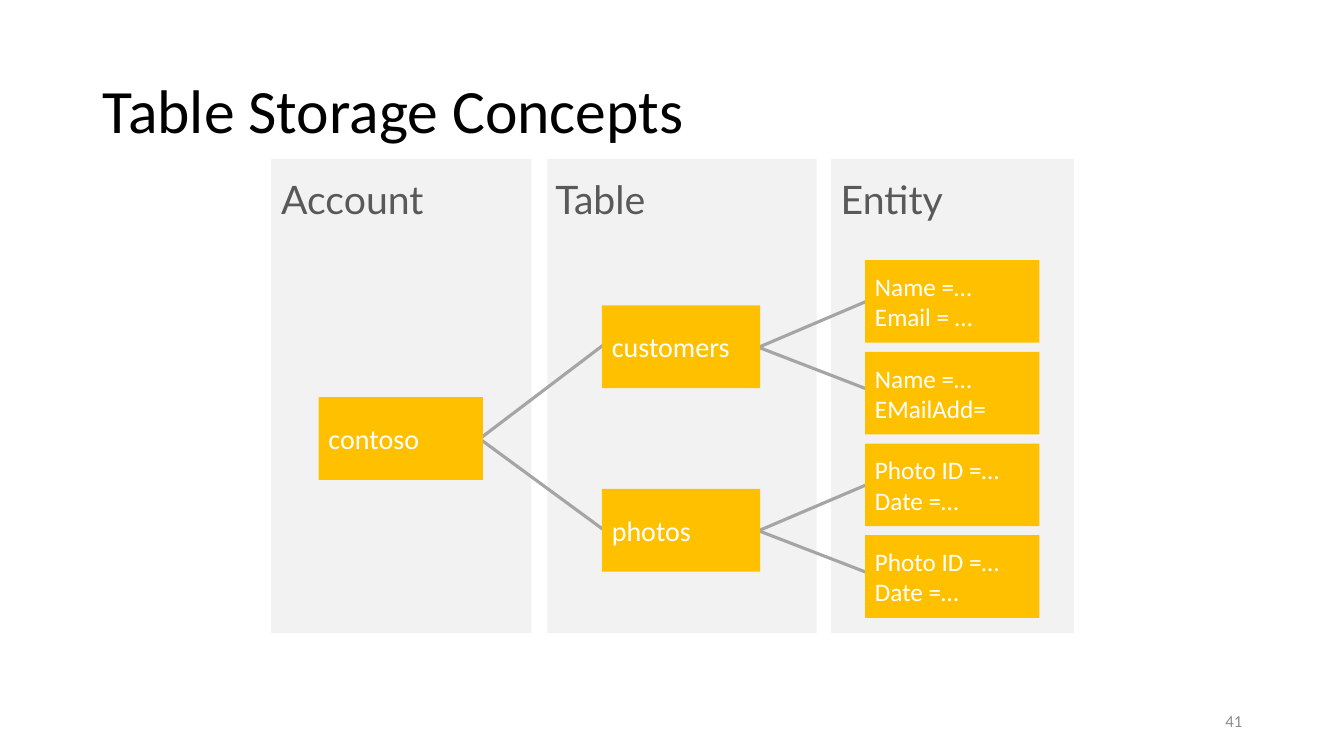
"""Builds the Table Storage Concepts slide: accounts, tables and entities as a tree."""
from typing import NamedTuple

from lxml import etree
from pptx import Presentation
from pptx import util as u
from pptx.dml.color import RGBColor
from pptx.enum import shapes, text
from pptx.oxml.ns import qn

SCALE = 9144
PANEL_TOP, PANEL_HEIGHT = 158, 470
BOX_HEIGHT = 82
ENTITY_TOP, ENTITY_STEP = 258, 91
PANEL_FILL, BOX_FILL, LINK = "F2F2F2", "FFC000", "A5A5A5"
WHITE, BLACK, HEADING, NUMBER = "FFFFFF", "000000", "595959", "8C8C8C"


class Panel(NamedTuple):
    heading: str
    left: int
    width: int
    heading_left: int


class Box(NamedTuple):
    lines: tuple[str, ...]
    left: int
    top: int
    width: int
    size: int = 20


class Link(NamedTuple):
    x1: int
    y1: int
    x2: int
    y2: int


PANELS = (
    Panel("Account", 269, 258, 269),
    Panel("Table", 543, 267, 541),
    Panel("Entity", 824, 241, 824),
)
ACCOUNT = Box(("contoso",), 316, 394, 163)
TABLES = (Box(("customers",), 597, 303, 157), Box(("photos",), 597, 485, 157))
ENTITY_LINES = (
    ("Name =…", "Email = …"),
    ("Name =…", "EMailAdd="),
    ("Photo ID =…", "Date =…"),
    ("Photo ID =…", "Date =…"),
)
ENTITIES = tuple(
    Box(lines, 858, ENTITY_TOP + row * ENTITY_STEP, 173, 18)
    for row, lines in enumerate(ENTITY_LINES)
)
ACCOUNT_LINKS = (Link(459, 423, 621, 542), Link(467, 442, 612, 332))


def px(*lengths: int) -> list[u.Emu]:
    """Turn whole px into EMU."""
    return [u.Emu(length * SCALE) for length in lengths]


def colour(value: str) -> RGBColor:
    """Turn a hex string into a colour."""
    return RGBColor.from_string(value)


def style(para, size: int, ink: str, face: str = "Calibri") -> None:
    """Set the font of a whole paragraph."""
    para.font.size = u.Pt(size)
    para.font.name = face
    para.font.color.rgb = colour(ink)


def draw_rectangle(page, left: int, top: int, width: int, height: int, fill: str):
    """Draw a flat rectangle without outline."""
    box = page.shapes.add_shape(
        shapes.MSO_SHAPE.RECTANGLE, *px(left, top, width, height)
    )
    box.shadow.inherit = False
    box.fill.solid()
    box.fill.fore_color.rgb = colour(fill)
    box.line.fill.background()
    return box


def draw_panel(page, panel: Panel) -> None:
    """Draw a column background and its heading."""
    draw_rectangle(page, panel.left, PANEL_TOP, panel.width, PANEL_HEIGHT, PANEL_FILL)
    heading = page.shapes.add_textbox(
        *px(panel.heading_left, PANEL_TOP, panel.width, 157)
    )
    frame = heading.text_frame
    frame.word_wrap = True
    frame.margin_left, frame.margin_top, frame.margin_right, frame.margin_bottom = px(
        10, 27, 27, 27
    )
    para = frame.paragraphs[0]
    para.text = panel.heading
    para.line_spacing = 0.9
    style(para, 28, HEADING, "Lato")


def draw_link(page, link: Link) -> None:
    """Draw a plain line between two levels of the tree."""
    line = page.shapes.add_connector(shapes.MSO_CONNECTOR.STRAIGHT, *px(*link))
    line.line.color.rgb = colour(LINK)
    line.line.width = u.Pt(2.25)
    etree.SubElement(line._element.spPr, qn("a:effectLst"))


def draw_box(page, item: Box) -> None:
    """Draw a tree node with one paragraph per line."""
    box = draw_rectangle(page, item.left, item.top, item.width, BOX_HEIGHT, BOX_FILL)
    frame = box.text_frame
    frame.word_wrap = True
    frame.vertical_anchor = text.MSO_ANCHOR.MIDDLE
    frame.text = "\n".join(item.lines)
    for para in frame.paragraphs:
        para.alignment = text.PP_ALIGN.LEFT
        style(para, item.size, WHITE)


def entity_links(table: Box) -> tuple[Link, Link]:
    """Give the two lines from a table to its entities."""
    return (
        Link(738, table.top + 36, 878, table.top + 90),
        Link(742, table.top + 46, 878, table.top - 12),
    )


def draw_title(page) -> None:
    """Place and format the title."""
    title = page.shapes.title
    title.left, title.top, title.width, title.height = px(92, 40, 1150, 145)
    title.text_frame.text = "Table Storage Concepts"
    title.text_frame.vertical_anchor = text.MSO_ANCHOR.MIDDLE
    para = title.text_frame.paragraphs[0]
    para.alignment = text.PP_ALIGN.LEFT
    para.line_spacing = 0.9
    style(para, 44, BLACK)


def draw_number(page) -> None:
    """Write the slide number."""
    number = page.shapes.add_textbox(*px(942, 695, 300, 40))
    frame = number.text_frame
    frame.word_wrap = True
    frame.vertical_anchor = text.MSO_ANCHOR.MIDDLE
    para = frame.paragraphs[0]
    para.text = "41"
    para.alignment = text.PP_ALIGN.RIGHT
    style(para, 12, NUMBER)


def main() -> None:
    """Build and save the deck."""
    deck = Presentation()
    deck.slide_width, deck.slide_height = px(1333, 750)
    page = deck.slides.add_slide(deck.slide_layouts[5])
    draw_title(page)
    for panel in PANELS:
        draw_panel(page, panel)
    for link in ACCOUNT_LINKS:
        draw_link(page, link)
    for table in TABLES:
        for link in entity_links(table):
            draw_link(page, link)
    for item in (ACCOUNT, *TABLES, *ENTITIES):
        draw_box(page, item)
    draw_number(page)
    deck.save("out.pptx")


if __name__ == "__main__":
    main()
